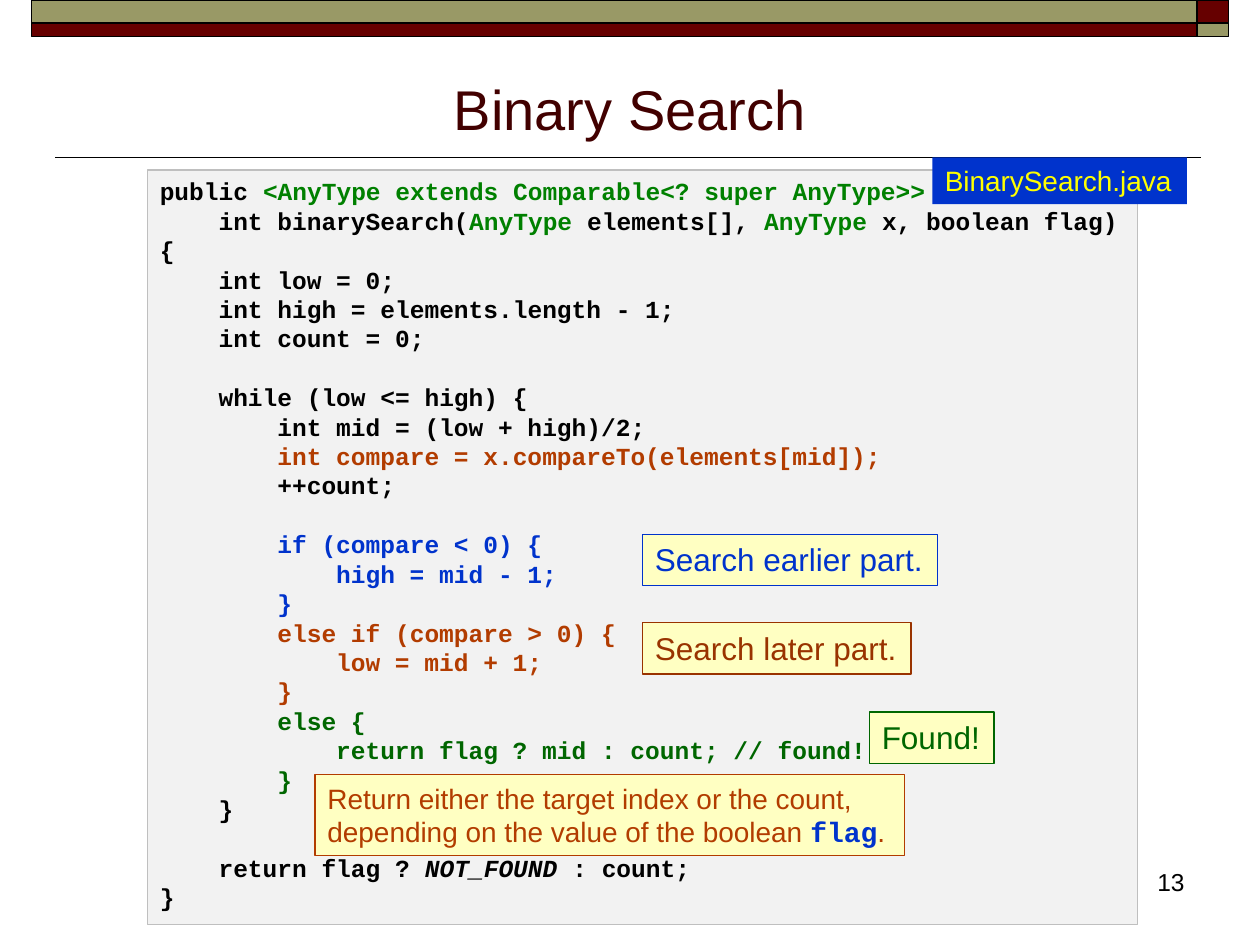
from pptx import Presentation
from pptx.dml.color import RGBColor
from pptx.enum.shapes import MSO_CONNECTOR, MSO_SHAPE
from pptx.enum.text import MSO_ANCHOR, MSO_AUTO_SIZE, PP_ALIGN
from pptx.oxml.ns import qn
from pptx.util import Inches, Pt
from lxml import etree

RECTANGLE = MSO_SHAPE.RECTANGLE
STRAIGHT = MSO_CONNECTOR.STRAIGHT
TOP, BOTTOM = MSO_ANCHOR.TOP, MSO_ANCHOR.BOTTOM
LEFT, CENTER, RIGHT = PP_ALIGN.LEFT, PP_ALIGN.CENTER, PP_ALIGN.RIGHT
GROW = MSO_AUTO_SIZE.SHAPE_TO_FIT_TEXT

BLACK = RGBColor(0x00, 0x00, 0x00)
MAROON = RGBColor(0x66, 0x00, 0x00)
OLIVE = RGBColor(0x99, 0x99, 0x66)
TITLE_COLOR = RGBColor(0x42, 0x00, 0x00)
CODE_FILL = RGBColor(0xF2, 0xF2, 0xF2)
CODE_BORDER = RGBColor(0xBF, 0xBF, 0xBF)
NOTE_FILL = RGBColor(0xFF, 0xFF, 0xC2)
BLUE = RGBColor(0x00, 0x33, 0xCC)
RUST = RGBColor(0xB2, 0x3C, 0x00)
BROWN = RGBColor(0x99, 0x33, 0x00)
GREEN = RGBColor(0x00, 0x66, 0x00)
TYPE_GREEN = RGBColor(0x00, 0x80, 0x00)
YELLOW = RGBColor(0xFF, 0xFF, 0x00)

CODE_SIZE = 14
CODE_LINE = 16.8  # points from one code line to the next
CODE_INDENT = 4 * 0.6 * CODE_SIZE  # four monospaced characters, in points


def add_box(position, fill, border=None, width=0.75):
    """Add a rectangle without shadow, bordered if a colour is given."""
    shape = slide.shapes.add_shape(RECTANGLE, *map(Inches, position))
    shape.shadow.inherit = False
    shape.fill.solid()
    shape.fill.fore_color.rgb = fill
    if border is None:
        shape.line.fill.background()
    else:
        shape.line.color.rgb = border
        shape.line.width = Pt(width)
    return shape


def write(shape, lines, size, color, font="Arial", bold=False,
          align=LEFT, anchor=TOP, wrap=False):
    """Write lines of (text, format changes) runs into a shape."""
    frame = shape.text_frame
    frame.word_wrap = wrap
    frame.vertical_anchor = anchor
    if not wrap:
        frame.auto_size = GROW
    for index, runs in enumerate(lines):
        paragraph = frame.add_paragraph() if index else frame.paragraphs[0]
        paragraph.alignment = align
        for text, changes in runs:
            run = paragraph.add_run()
            run.text = text
            values = {"name": font, "size": Pt(size), "bold": bold, "color": color}
            values.update(changes)
            run.font.color.rgb = values.pop("color")
            for name, value in values.items():
                setattr(run.font, name, value)


presentation = Presentation()
presentation.slide_width = Inches(10)
presentation.slide_height = Inches(7.5)
slide = presentation.slides.add_slide(presentation.slide_layouts[6])

# Header bands and title rule
rule = slide.shapes.add_connector(
    STRAIGHT, Inches(9.53), Inches(1.25), Inches(0.44), Inches(1.25))
rule.line.color.rgb = BLACK
rule.line.width = Pt(1)
etree.SubElement(rule._element.spPr, qn("a:effectLst"))

for top, height, long_color, short_color in [
        (0, 0.18, OLIVE, MAROON), (0.18, 0.11, MAROON, OLIVE)]:
    add_box((0.25, top, 9.25, height), long_color, BLACK, 1)
    add_box((9.5, top, 0.25, height), short_color, BLACK, 1)

# Title and slide number
for position, text, size, color, align, anchor in [
        ((7.42, 6.83, 2.08, 0.5), "13", 14, BLACK, RIGHT, TOP),
        ((0.5, 0.45, 9, 0.72), "Binary Search", 32, TITLE_COLOR, CENTER, BOTTOM)]:
    text_box = slide.shapes.add_textbox(*map(Inches, position))
    write(text_box, [[(text, {})]], size, color,
          align=align, anchor=anchor, wrap=True)

# Code: indent level, blank line before, runs of (text, colour)
code = [
    (0, False, [("public ", BLACK),
                ("<AnyType extends Comparable<? super AnyType>>", TYPE_GREEN)]),
    (1, False, [("int binarySearch(", BLACK), ("AnyType ", TYPE_GREEN),
                ("elements[], ", BLACK), ("AnyType ", TYPE_GREEN),
                ("x, boolean flag)", BLACK)]),
    (0, False, [("{", BLACK)]),
    (1, False, [("int low = 0;", BLACK)]),
    (1, False, [("int high = elements.length - 1;", BLACK)]),
    (1, False, [("int count = 0;", BLACK)]),
    (1, True, [("while (low <= high) {", BLACK)]),
    (2, False, [("int mid = (low + high)/2;", BLACK)]),
    (2, False, [("int compare = x.compareTo(elements[mid]);", RUST)]),
    (2, False, [("++count;", BLACK)]),
    (2, True, [("if (compare < 0) {", BLUE)]),
    (3, False, [("high = mid - 1;", BLUE)]),
    (2, False, [("}", BLUE)]),
    (2, False, [("else if (compare > 0) {", RUST)]),
    (3, False, [("low = mid + 1;", RUST)]),
    (2, False, [("}", RUST)]),
    (2, False, [("else {", GREEN)]),
    (3, False, [("return flag ? mid : count; // found!", GREEN)]),
    (2, False, [("}", GREEN)]),
    (1, False, [("}", BLACK)]),
    (1, True, [("return flag ? ", BLACK), ("NOT_FOUND", BLACK),
               (" : count;", BLACK)]),
    (0, False, [("}", BLACK)]),
]
code_box = add_box((1.17, 1.35, 7.86, 5.99), CODE_FILL, CODE_BORDER)
code_lines = [
    [(text, {"color": color, "italic": text == "NOT_FOUND"}) for text, color in runs]
    for level, blank_before, runs in code]
write(code_box, code_lines, CODE_SIZE, BLACK, "Courier New", True)
for paragraph, (level, blank_before, runs) in zip(code_box.text_frame.paragraphs, code):
    properties = paragraph._p.get_or_add_pPr()
    properties.set("marL", str(int(Pt(level * CODE_INDENT))))
    properties.set("indent", "0")
    if blank_before:
        paragraph.space_before = Pt(CODE_LINE)

# Notes beside the branches
for position, text, color in [
        ((5.1, 4.24, 2.34, 0.41), "Search earlier part.", BLUE),
        ((5.1, 4.94, 2.13, 0.41), "Search later part.", BROWN),
        ((6.9, 5.65, 0.99, 0.41), "Found!", GREEN)]:
    write(add_box(position, NOTE_FILL, color), [[(text, {})]], 18, color)

return_note = add_box((2.5, 6.15, 4.68, 0.64), NOTE_FILL, RUST)
write(return_note, [
    [("Return either the target index or the count,", {})],
    [("depending on the value of the boolean ", {}),
     ("flag", {"name": "Courier New", "color": BLUE, "bold": True}),
     (".", {})],
], 16, RUST)

file_label = add_box((7.4, 1.25, 2.02, 0.37), BLUE)
write(file_label, [[("BinarySearch.java", {})]], 16, YELLOW)

presentation.save("out.pptx")
